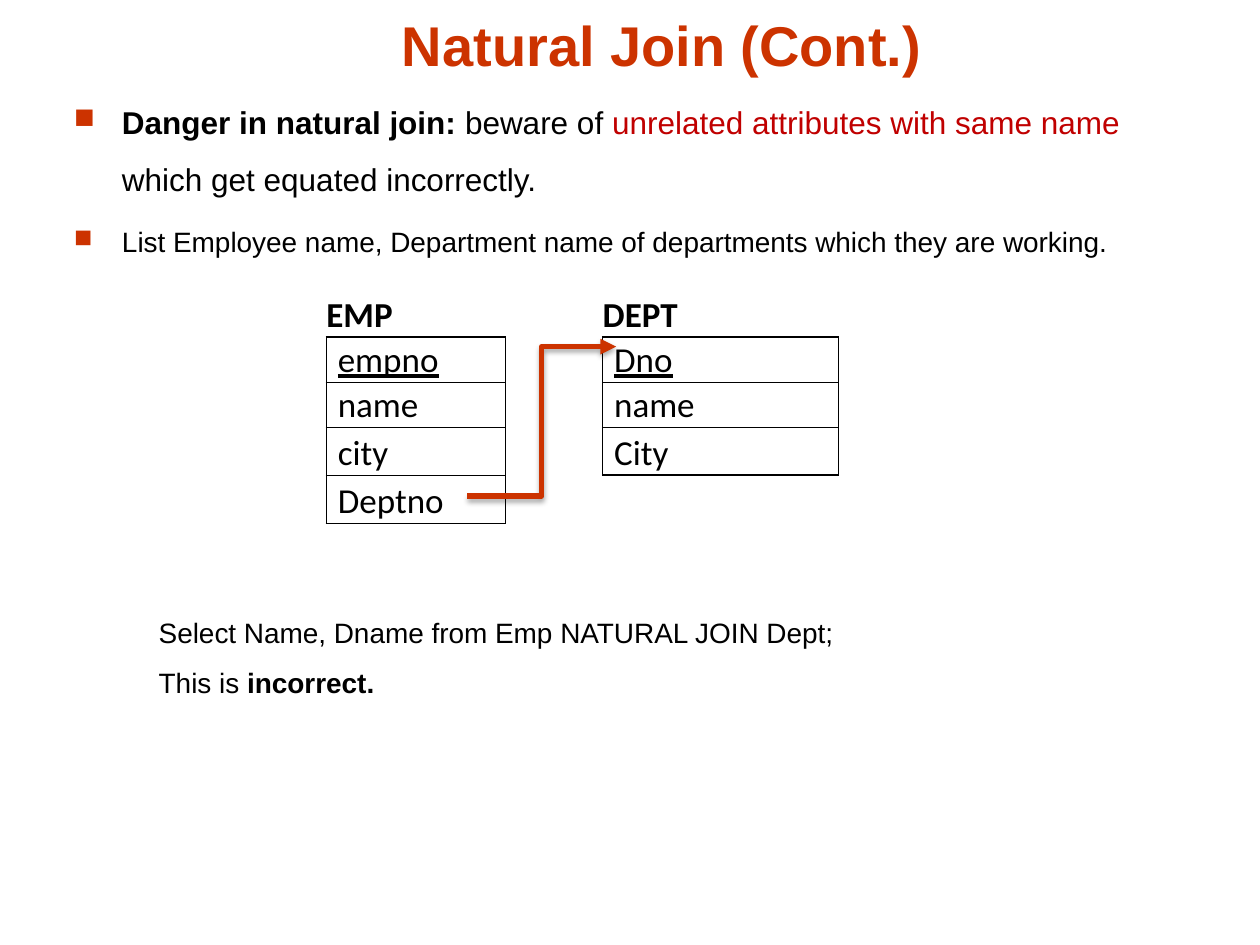
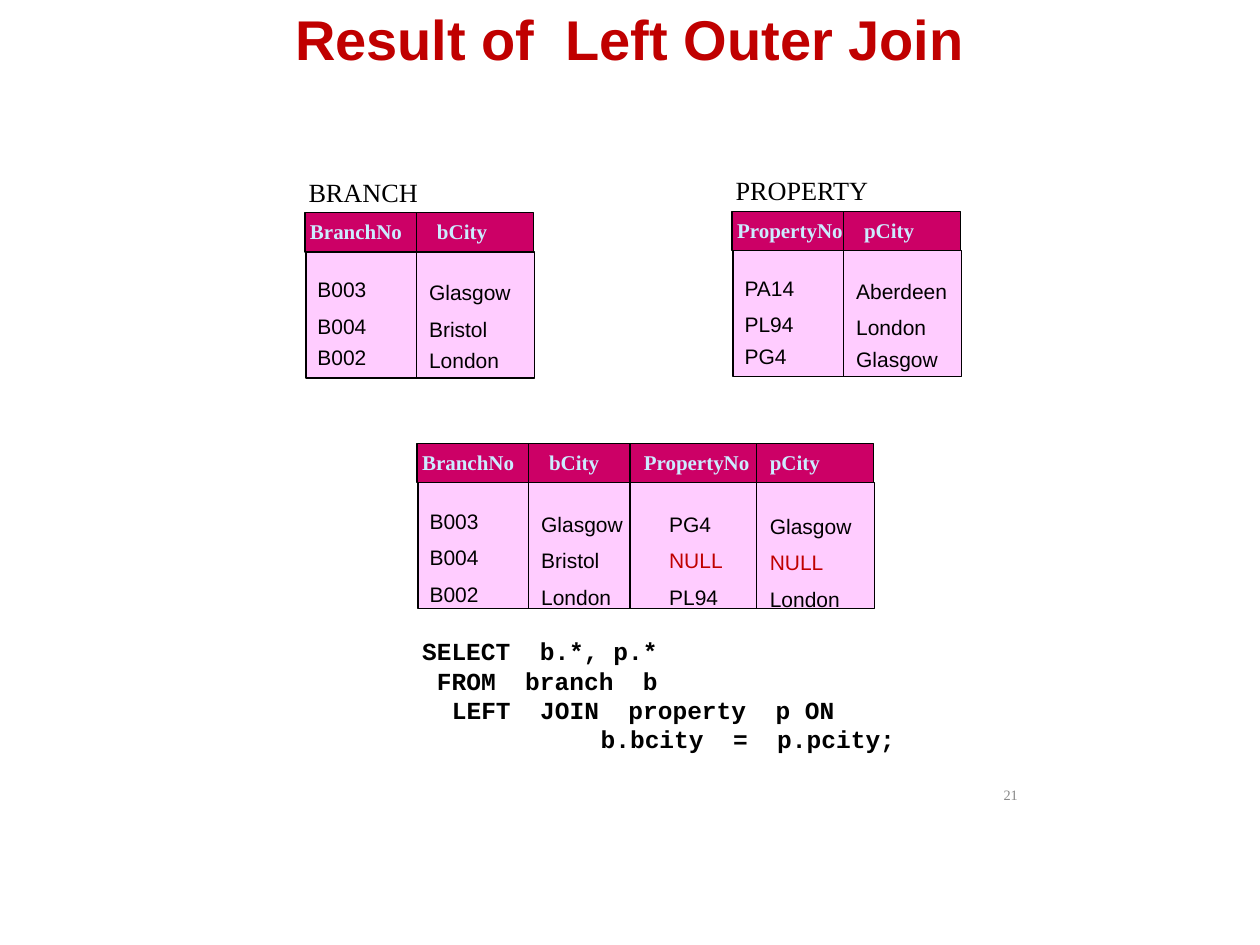
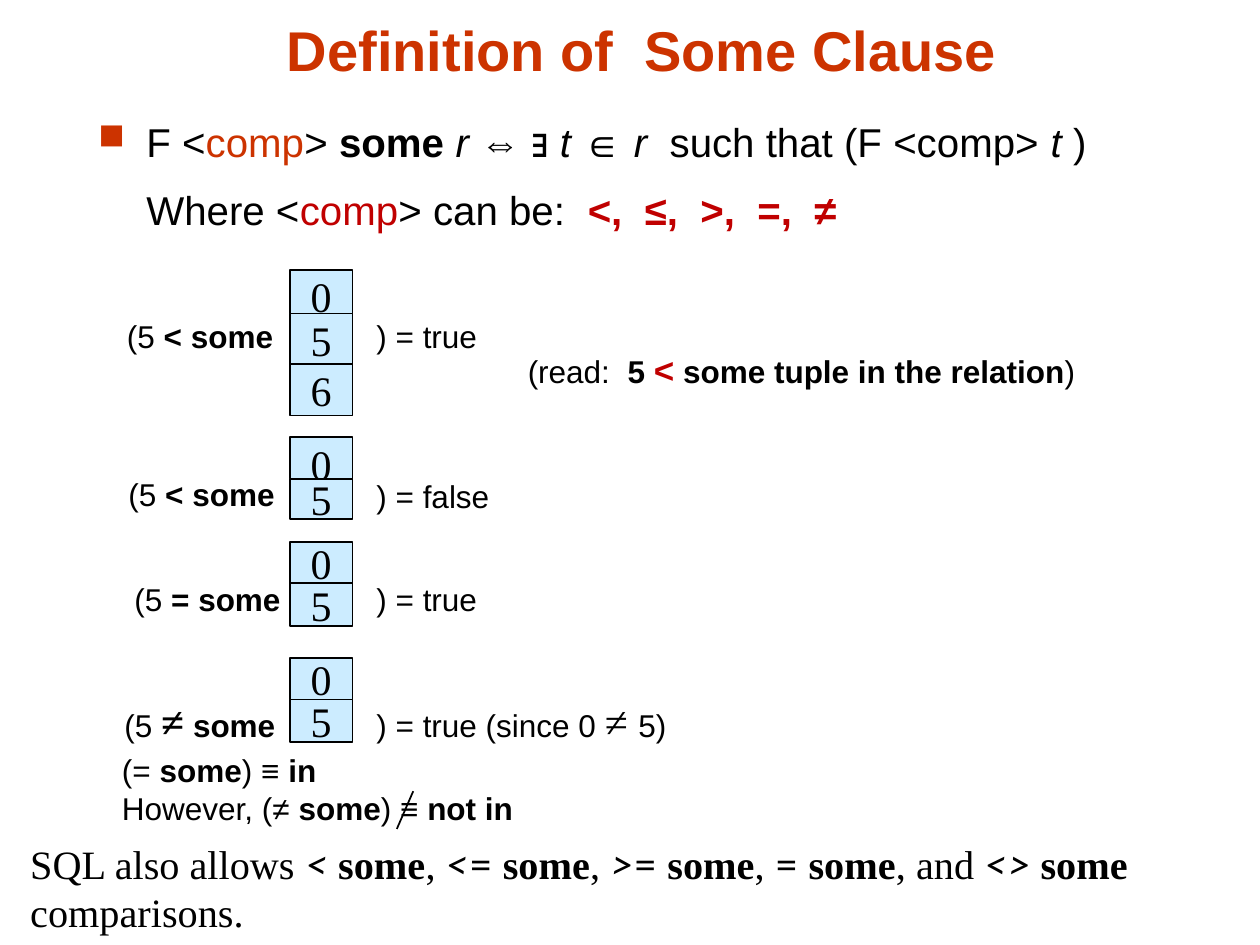
from dataclasses import dataclass, field
from typing import NamedTuple

from lxml.etree import SubElement
from pptx import Presentation
from pptx.dml.color import RGBColor
from pptx.enum.shapes import MSO_CONNECTOR as Connector, MSO_SHAPE as Preset
from pptx.enum.text import MSO_ANCHOR as Anchor, PP_ALIGN as Align
from pptx.oxml.ns import qn
from pptx.util import Cm, Pt


@dataclass(frozen=True)
class Theme:
    """Colours, fonts and type sizes of the deck."""
    black: str = "000000"
    orange: str = "CC3300"
    red: str = "C00000"
    band: str = "CC0066"
    panel: str = "FFCCFF"
    pale: str = "CCECFF"
    grey: str = "898989"
    sans: str = "Arial"
    serif: str = "Times New Roman"
    table: str = "Calibri"
    code: str = "Courier New"
    symbol: str = "Lato"
    title: float = 32
    digit: float = 24
    lead: float = 23
    field: float = 20
    body: float = 18
    note: float = 16
    caption: float = 15
    sql: float = 14
    cell: float = 12
    folio: float = 8.2


T = Theme()
BREAK = None
BOLD = {"bold": True}
ITALIC = {"italic": True}
RED = {"color": T.red}
SYMBOL = {"name": T.symbol}
SLANTED = {"name": T.symbol, "italic": True}


class Box(NamedTuple):
    """A region in centimetres."""
    left: float
    top: float
    width: float
    height: float

    def lengths(self):
        """Return the four lengths for python-pptx."""
        return [Cm(value) for value in self]

    def inner(self, dx, dy, width, height):
        """Return a box placed relative to this one."""
        return Box(self.left + dx, self.top + dy, width, height)


@dataclass
class Para:
    """One paragraph: runs are strings or (text, style) pairs."""
    runs: list
    size: float = T.body
    font: str = T.sans
    color: str = T.black
    bold: bool = False
    align: Align = Align.LEFT
    spacing: float = 1
    before: float = 0
    indent: float = 0
    bullet: bool = False


def rgb(code):
    """Turn a hex code into a colour."""
    return RGBColor.from_string(code)


def style_font(font, name=None, size=None, color=None, **flags):
    """Set the given traits of a font."""
    if name:
        font.name = name
    if size:
        font.size = Pt(size)
    if color:
        font.color.rgb = rgb(color)
    for flag, value in flags.items():
        setattr(font, flag, value)


def write_para(paragraph, para):
    """Write one Para into a paragraph."""
    props = paragraph._p.get_or_add_pPr()
    if para.indent:
        props.set("marL", str(Cm(para.indent)))
    if para.bullet:
        props.set("indent", str(-Cm(para.indent)))
        tint = SubElement(props, qn("a:buClr"))
        SubElement(tint, qn("a:srgbClr"), val=T.orange)
        SubElement(props, qn("a:buSzPct"), val="90000")
        SubElement(props, qn("a:buChar"), char="■")
    paragraph.alignment = para.align
    paragraph.line_spacing = para.spacing
    paragraph.space_before = Pt(para.before)
    style_font(paragraph.font, para.font, para.size, para.color, bold=para.bold)
    for piece in para.runs:
        if piece is BREAK:
            paragraph.add_line_break()
            continue
        text, style = (piece, {}) if isinstance(piece, str) else piece
        run = paragraph.add_run()
        run.text = text
        style_font(run.font, **style)


def write_frame(frame, paras):
    """Write several paragraphs into a text frame."""
    for index, para in enumerate(paras):
        write_para(frame.add_paragraph() if index else frame.paragraphs[0], para)


def add_text(slide, box, *paras, anchor=Anchor.TOP):
    """Place a wrapping text box."""
    frame = slide.shapes.add_textbox(*box.lengths()).text_frame
    frame.word_wrap = True
    frame.vertical_anchor = anchor
    write_frame(frame, paras)


def add_title(slide, box, text, color=T.orange):
    """Place a slide title."""
    heading = Para([text], T.title, color=color, bold=True, align=Align.CENTER)
    add_text(slide, box, heading, anchor=Anchor.BOTTOM)


def add_rect(slide, box, fill, width):
    """Place a filled, black-edged rectangle."""
    rect = slide.shapes.add_shape(Preset.RECTANGLE, *box.lengths())
    rect.shadow.inherit = False
    rect.fill.solid()
    rect.fill.fore_color.rgb = rgb(fill)
    rect.line.color.rgb = rgb(T.black)
    rect.line.width = Pt(width)
    return rect


def add_line(slide, start, end, width, color=T.black, kind=Connector.STRAIGHT):
    """Place a connector and return it with its empty effect list."""
    ends = [Cm(value) for value in (*start, *end)]
    line = slide.shapes.add_connector(kind, *ends)
    line.line.color.rgb = rgb(color)
    line.line.width = Pt(width)
    return line, SubElement(line._element.spPr, qn("a:effectLst"))


def add_key_arrow(slide, start, end):
    """Link a foreign key to its primary key."""
    arrow, effects = add_line(slide, start, end, 3, T.orange, Connector.ELBOW)
    SubElement(arrow.line._get_or_add_ln(), qn("a:tailEnd"), type="triangle")
    shade = SubElement(effects, qn("a:outerShdw"), blurRad=str(Pt(3.1)),
                       dist=str(Pt(1.8)), dir="5400000", rotWithShape="0")
    tint = SubElement(shade, qn("a:srgbClr"), val=T.black)
    SubElement(tint, qn("a:alpha"), val="35000")


def set_borders(cell, **widths):
    """Draw the cell edges L, R, T and B; a zero width hides one."""
    props = cell._tc.get_or_add_tcPr()
    for side in "LRTB":
        width = widths.get(side, 0)
        edge = SubElement(props, qn("a:ln" + side), w=str(Pt(width)))
        if width:
            tint = SubElement(edge, qn("a:solidFill"))
            SubElement(tint, qn("a:srgbClr"), val=T.black)
        else:
            SubElement(edge, qn("a:noFill"))


def add_schema(slide, box, widths, heights, columns):
    """Place the two relation schemas as one table."""
    frame = slide.shapes.add_table(len(heights), len(widths), *box.lengths())
    schema = frame.table
    schema.first_row = schema.horz_banding = False
    for row, height in zip(schema.rows, heights):
        row.height = Cm(height)
    for col, (width, names) in enumerate(zip(widths, columns)):
        schema.columns[col].width = Cm(width)
        last = len(names) - 1
        for row in range(len(heights)):
            cell = schema.cell(row, col)
            cell.margin_left = Cm(0.23 if row else 0)
            cell.margin_right = cell.margin_top = cell.margin_bottom = 0
            cell.vertical_anchor = Anchor.BOTTOM
            if row > last:
                set_borders(cell, T=1 if row == last + 1 and names else 0)
            elif row == 0:
                set_borders(cell, B=1)
            else:
                set_borders(cell, L=1, R=1, T=1 if row == 1 else 0.5,
                            B=1 if row == last else 0.5)
            cell.fill.background()
            if row <= last:
                style = {"underline": True} if row == 1 else {}
                write_para(cell.text_frame.paragraphs[0],
                           Para([(names[row], style)], T.field, T.table, bold=row == 0))


def build_natural_join(slide):
    """Build the slide on the danger of a natural join."""
    add_title(slide, Box(2.13, 0, 22.43, 1.7), "Natural Join (Cont.)")
    schema = Box(6.58, 5.82, 10.31, 4.73)
    add_schema(slide, schema, [3.61, 1.96, 4.75], [0.97, 0.91, 0.91, 0.97, 0.97],
               [["EMP", "empno", "name", "city", "Deptno"], [],
                ["DEPT", "Dno", "name", "City"]])
    add_key_arrow(slide, (schema.left + 2.84, schema.top + 4.18),
                  (schema.left + 5.84, schema.top + 1.17))
    bullets = {"spacing": 1.5, "indent": 0.97, "bullet": True}
    add_text(slide, Box(1.24, 1.57, 23.32, 2.34),
             Para([("Danger in natural join: ", BOLD), "beware of ",
                   ("unrelated attributes with same name ", RED),
                   "which get equated incorrectly."], **bullets),
             Para(["List Employee name, Department name of departments "
                   "which they are working."], T.note, before=6, **bullets))
    add_text(slide, Box(2.95, 11.94, 19, 2.18),
             Para(["Select Name, Dname from Emp NATURAL JOIN Dept;"], T.note, spacing=1.5),
             Para(["This is ", ("incorrect.", BOLD)], T.note, spacing=1.5))


@dataclass
class Column:
    """One relation column, with offsets from the left of its relation."""
    header: str
    values: list
    header_x: float
    value_x: float
    header_width: float
    value_width: float
    drop: float = 0.06


def key_column(*values, header="BranchNo", width=2.4):
    """Return the first column of a relation."""
    return Column(header, values, -0.15, 0, width, 1.6, 0)


def city_column(header, *values):
    """Return the second column of a relation."""
    return Column(header, values, 2.41, 2.25, 1.6, 2.4)


def add_relation(slide, box, columns, dividers, rows, caption=None):
    """Place a relation: panel, header band, dividers and values."""
    band_height = 0.79
    body = box.inner(0.02, band_height, box.width, box.height - band_height)
    add_rect(slide, body, T.panel, 0.75)
    add_rect(slide, box._replace(height=band_height), T.band, 0.75)
    for x in dividers:
        add_line(slide, (box.left + x, box.top),
                 (box.left + x, box.top + box.height), 0.75)
    if caption:
        add_text(slide, box.inner(-0.18, -0.87, 3.3, 0.89),
                 Para([caption], T.caption, T.serif))
    for column in columns:
        add_text(slide, box.inner(column.header_x, 0, column.header_width, 0.76),
                 Para([column.header], T.cell, T.serif, T.pale, True))
        for value, y in zip(column.values, rows):
            color = T.red if value == "NULL" else T.black
            place = box.inner(column.value_x, y + column.drop, column.value_width, 0.76)
            add_text(slide, place, Para([value], T.cell, color=color))


def build_outer_join(slide):
    """Build the slide with the result of a left outer join."""
    add_text(slide, Box(16.81, 15.72, 3.96, 0.97),
             Para(["21"], T.folio, T.serif, T.grey, align=Align.RIGHT))
    source_rows = [1.17, 1.9, 2.54]
    add_relation(slide, Box(6.15, 4.29, 4.6, 3.33),
                 [key_column("B003", "B004", "B002"),
                  city_column("bCity", "Glasgow", "Bristol", "London")],
                 [2.24], source_rows, "BRANCH")
    add_relation(slide, Box(14.76, 4.26, 4.6, 3.33),
                 [key_column("PA14", "PL94", "PG4", header="PropertyNo", width=2.7),
                  city_column("pCity", "Aberdeen", "London", "Glasgow")],
                 [2.24], source_rows, "PROPERTY")
    result = Box(8.41, 8.94, 9.2, 3.33)
    add_relation(slide, result,
                 [key_column("B003", "B004", "B002"),
                  city_column("bCity", "Glasgow", "Bristol", "London"),
                  Column("PropertyNo", ["PG4", "NULL", "PL94"], 4.32, 4.83, 2.7, 1.65),
                  Column("pCity", ["Glasgow", "NULL", "London"], 6.86, 6.86, 1.6, 2.3, 0.1)],
                 [2.25, 4.29, 6.84], [1.18, 1.91, 2.65])
    query = [(0, "SELECT  b.*, p.*"), (1, "FROM  branch  b"),
             (2, "LEFT  JOIN  property  p ON"), (12, "b.bcity  =  p.pcity;")]
    add_text(slide, result.inner(-0.15, 3.76, 10.3, 3.25),
             *[Para([code], T.sql, T.code, bold=True, indent=0.3 * depth)
               for depth, code in query])
    add_title(slide, Box(5.5, -0.05, 14.4, 1.63), "Result of  Left Outer Join", T.red)


@dataclass
class Comparison:
    """One worked comparison with the cells it tests against."""
    label: list
    label_box: Box
    result: list
    result_top: float
    cells: list = field(default_factory=list)


def add_comparison(slide, item):
    """Place a comparison: label, stacked cells and result."""
    for digit, top, height in item.cells:
        frame = add_rect(slide, Box(5.84, top, 1.27, height), T.pale, 1).text_frame
        frame.word_wrap = False
        frame.vertical_anchor = Anchor.MIDDLE
        write_frame(frame, [Para([digit], T.digit, T.serif, align=Align.CENTER)])
    add_text(slide, item.label_box, Para(item.label))
    add_text(slide, Box(7.34, item.result_top, 7, item.label_box.height), Para(item.result))


def build_some_clause(slide):
    """Build the slide that defines the some clause."""
    add_title(slide, Box(1.73, 0.1, 22.43, 1.7), "Definition of  Some Clause")
    add_text(slide, Box(1.73, 1.85, 21.56, 1.98),
             Para(["F <", ("comp", {"color": T.orange}), "> ", ("some ", BOLD),
                   ("r ", ITALIC), "⇔ ∃ ", ("t ", ITALIC), "∈", (" r  ", ITALIC),
                   "such that (F <comp> ", ("t ", ITALIC), ")", BREAK,
                   "Where <", ("comp", RED), "> can be:  ",
                   ("<,  ≤,  >,  =,  ≠", {**RED, **BOLD})],
                  T.lead, spacing=1.4, indent=0.97, bullet=True))
    unequal = {"name": T.serif, "size": T.digit}
    less = ["(5 ", ("< some", BOLD)]
    comparisons = [
        Comparison(less, Box(2.31, 6.27, 3.76, 1.02), [") = true"], 6.27,
                   [("0", 5.44, 1.04), ("5", 6.32, 1.04), ("6", 7.34, 1.04)]),
        Comparison(less, Box(2.34, 9.45, 3.84, 1.02), [") = false"], 9.5,
                   [("0", 8.81, 1.07), ("5", 9.65, 0.81)]),
        Comparison(["(5 ", ("= some", BOLD)], Box(2.46, 11.56, 4.24, 1.02),
                   [") = true"], 11.56, [("0", 10.92, 0.86), ("5", 11.76, 0.86)]),
        Comparison(["(5 ", ("≠", {**unequal, **BOLD}), " ", ("some", BOLD)],
                   Box(2.26, 13.89, 4.01, 1.27),
                   [") = true (since 0 ", ("≠ ", unequal), "5)"], 13.89,
                   [("0", 13.26, 0.86), ("5", 14.1, 0.86)]),
    ]
    for item in comparisons:
        add_comparison(slide, item)
    add_text(slide, Box(10.39, 6.91, 13.54, 1.12),
             Para(["(read:  ", ("5 ", BOLD), ("<", {**RED, **BOLD, "size": T.field}),
                   (" some tuple in the relation", BOLD), ")"]))
    add_text(slide, Box(2.21, 15.01, 18.9, 1.98),
             Para(["(= ", ("some", BOLD), ") ≡ ", ("in", BOLD)]),
             Para(["However, (≠ ", ("some", BOLD), ") ≡ ", ("not in", BOLD)]))
    add_line(slide, (8.33, 15.95), (8, 16.71), 1)
    some = ("some", BOLD)
    add_text(slide, Box(0.36, 16.79, 26.14, 2.24),
             Para(["SQL also allows ", ("< ", SLANTED), some, ", ",
                   ("<", SLANTED), ("= ", SYMBOL), some, ", ",
                   (">", SLANTED), ("= ", SYMBOL), some, ", ",
                   ("= ", SYMBOL), some, ", and ",
                   ("<> ", SLANTED), ("some ", BOLD), "comparisons."], T.lead, T.serif))


def main():
    """Build and save the deck."""
    deck = Presentation()
    deck.slide_width, deck.slide_height = Cm(25.4), Cm(19.05)
    for build in (build_natural_join, build_outer_join, build_some_clause):
        build(deck.slides.add_slide(deck.slide_layouts[6]))
    deck.save("out.pptx")


if __name__ == "__main__":
    main()
